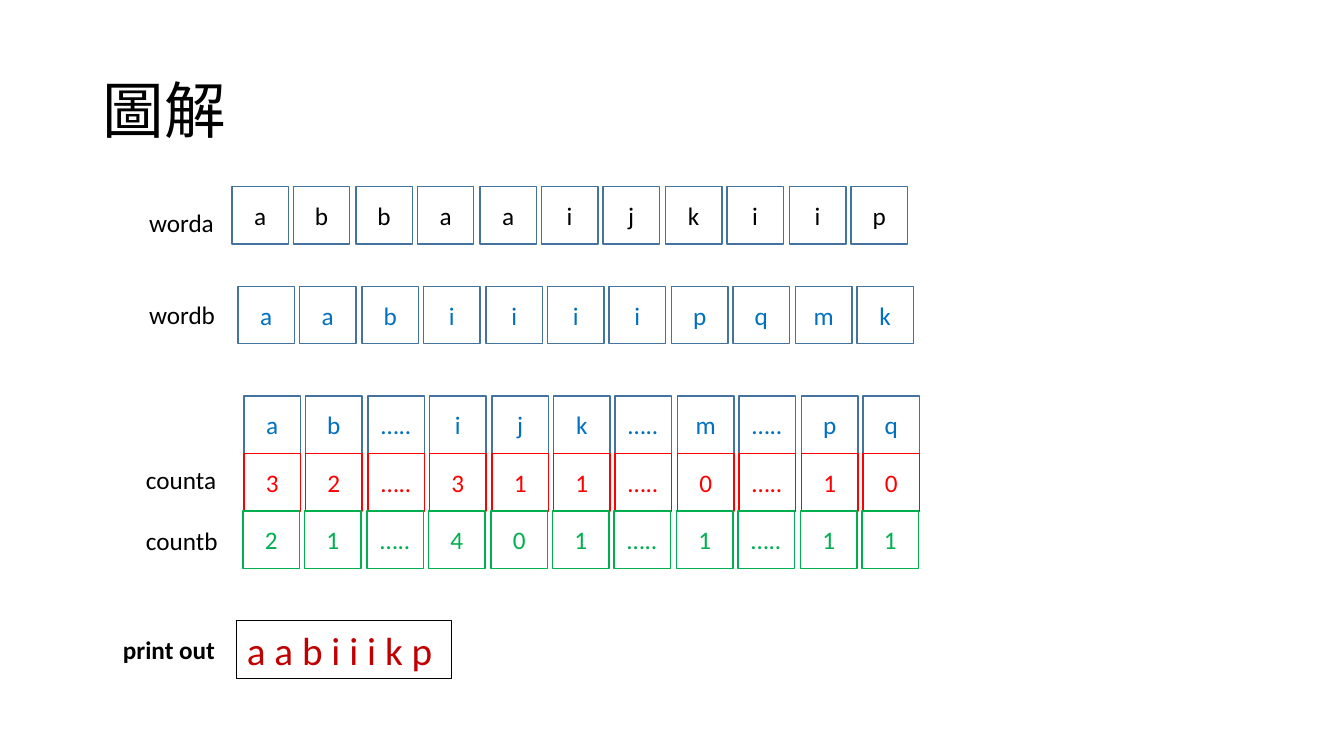
"""Build the slide that shows how common letters of two words are counted."""
import dataclasses
import typing

import lxml.etree
import pptx
import pptx.dml.color
import pptx.enum.shapes
import pptx.enum.text
import pptx.oxml.ns
import pptx.slide
import pptx.util

EMU_PER_PX = 9144
CELL_WIDTH, CELL_HEIGHT, CELL_PITCH = 56, 57, 61.4
ALIGN = pptx.enum.text.PP_ALIGN
ANCHOR = pptx.enum.text.MSO_ANCHOR
FIT = pptx.enum.text.MSO_AUTO_SIZE


@dataclasses.dataclass(frozen=True)
class Theme:
    latin: str = "Calibri"
    chinese: str = "Noto Sans CJK TC"
    black: str = "000000"
    white: str = "FFFFFF"
    steel: str = "43739E"
    blue: str = "0070C0"
    red: str = "FF0000"
    green: str = "00B050"
    crimson: str = "C00000"
    body_size: int = 18
    result_size: int = 28
    title_size: int = 44


THEME = Theme()


@dataclasses.dataclass(frozen=True)
class Area:
    left: int
    top: int
    width: int
    height: int


@dataclasses.dataclass(frozen=True)
class LetterRow:
    left: int
    top: int
    letters: str
    outline: str
    ink: str


@dataclasses.dataclass(frozen=True)
class TextItem:
    area: Area
    lines: tuple[str, ...]
    size: int = THEME.body_size
    ink: str = THEME.black
    font: str = THEME.latin
    bold: bool = False
    gap: int = 0
    spacing: float = 1.0
    align: ALIGN = ALIGN.LEFT
    anchor: ANCHOR = ANCHOR.TOP
    wrap: bool = False
    fit: FIT = FIT.SHAPE_TO_FIT_TEXT
    outline: str | None = None
    outline_width: float = 1
    fill: str | None = None


LETTER_ROWS = (
    LetterRow(230, 185, "a b b a a i j k i i p", THEME.steel, THEME.black),
    LetterRow(236, 284, "a a b i i i i p q m k", THEME.steel, THEME.blue),
    LetterRow(242, 393, "a b ….. i j k ….. m ….. p q", THEME.steel, THEME.blue),
    LetterRow(242, 450, "3 2 ….. 3 1 1 ….. 0 ….. 1 0", THEME.red, THEME.red),
    LetterRow(241, 507, "2 1 ….. 4 0 1 ….. 1 ….. 1 1", THEME.green, THEME.green),
)

TEXT_ITEMS = (
    TextItem(Area(138, 201, 86, 131), ("worda", "wordb"), gap=44),
    TextItem(Area(135, 456, 94, 101), ("counta", "countb"), gap=22),
    TextItem(Area(235, 616, 213, 57), ("a a b i i i k p",), THEME.result_size,
             THEME.crimson, outline=THEME.black, outline_width=0.75),
    TextItem(Area(112, 624, 112, 40), ("print out",), bold=True),
    TextItem(Area(92, 40, 1150, 145), ("圖解",), THEME.title_size,
             font=THEME.chinese, spacing=0.9, anchor=ANCHOR.MIDDLE,
             wrap=True, fit=FIT.NONE),
)


def px(length: float) -> pptx.util.Emu:
    """Turn px into EMU."""
    return pptx.util.Emu(round(length * EMU_PER_PX))


def color(value: str) -> pptx.dml.color.RGBColor:
    """Turn a hex string into a colour."""
    return pptx.dml.color.RGBColor.from_string(value)


def apply(target: typing.Any, values: dict[str, typing.Any]) -> None:
    """Set each format value on the target."""
    for name, value in values.items():
        setattr(target, name, value)


def draw_text(page: pptx.slide.Slide, item: TextItem) -> None:
    """Draw a text box, or a rectangle when the item has an outline."""
    area = item.area
    place = [px(length) for length in (area.left, area.top, area.width, area.height)]
    if item.outline:
        box = page.shapes.add_shape(pptx.enum.shapes.MSO_SHAPE.RECTANGLE, *place)
        box.shadow.inherit = False
        box.line.color.rgb = color(item.outline)
        box.line.width = pptx.util.Pt(item.outline_width)
    else:
        box = page.shapes.add_textbox(*place)
    if item.fill:
        box.fill.solid()
        box.fill.fore_color.rgb = color(item.fill)
    else:
        box.fill.background()
    frame = box.text_frame
    apply(frame, {"word_wrap": item.wrap, "auto_size": item.fit,
                  "vertical_anchor": item.anchor})
    for index, line in enumerate(item.lines):
        para = frame.add_paragraph() if index else frame.paragraphs[0]
        apply(para, {"alignment": item.align, "line_spacing": item.spacing,
                     "space_before": pptx.util.Pt(item.gap if index else 0)})
        span = para.add_run()
        span.text = line
        apply(span.font, {"name": item.font, "size": pptx.util.Pt(item.size),
                          "bold": item.bold})
        span.font.color.rgb = color(item.ink)
        lxml.etree.SubElement(span._r.get_or_add_rPr(), pptx.oxml.ns.qn("a:ea"),
                              typeface=item.font)


def draw_row(page: pptx.slide.Slide, row: LetterRow) -> None:
    """Draw one row of evenly spaced letter cells."""
    for index, letter in enumerate(row.letters.split()):
        area = Area(row.left + round(index * CELL_PITCH), row.top,
                    CELL_WIDTH, CELL_HEIGHT)
        draw_text(page, TextItem(area, (letter,), ink=row.ink, align=ALIGN.CENTER,
                                 anchor=ANCHOR.MIDDLE, wrap=True, fit=FIT.NONE,
                                 outline=row.outline, fill=THEME.white))


def main() -> None:
    """Build and save the deck."""
    deck = pptx.Presentation()
    apply(deck, {"slide_width": px(1333), "slide_height": px(750)})
    page = deck.slides.add_slide(deck.slide_layouts[6])
    for row in LETTER_ROWS:
        draw_row(page, row)
    for item in TEXT_ITEMS:
        draw_text(page, item)
    deck.save("out.pptx")


if __name__ == "__main__":
    main()
